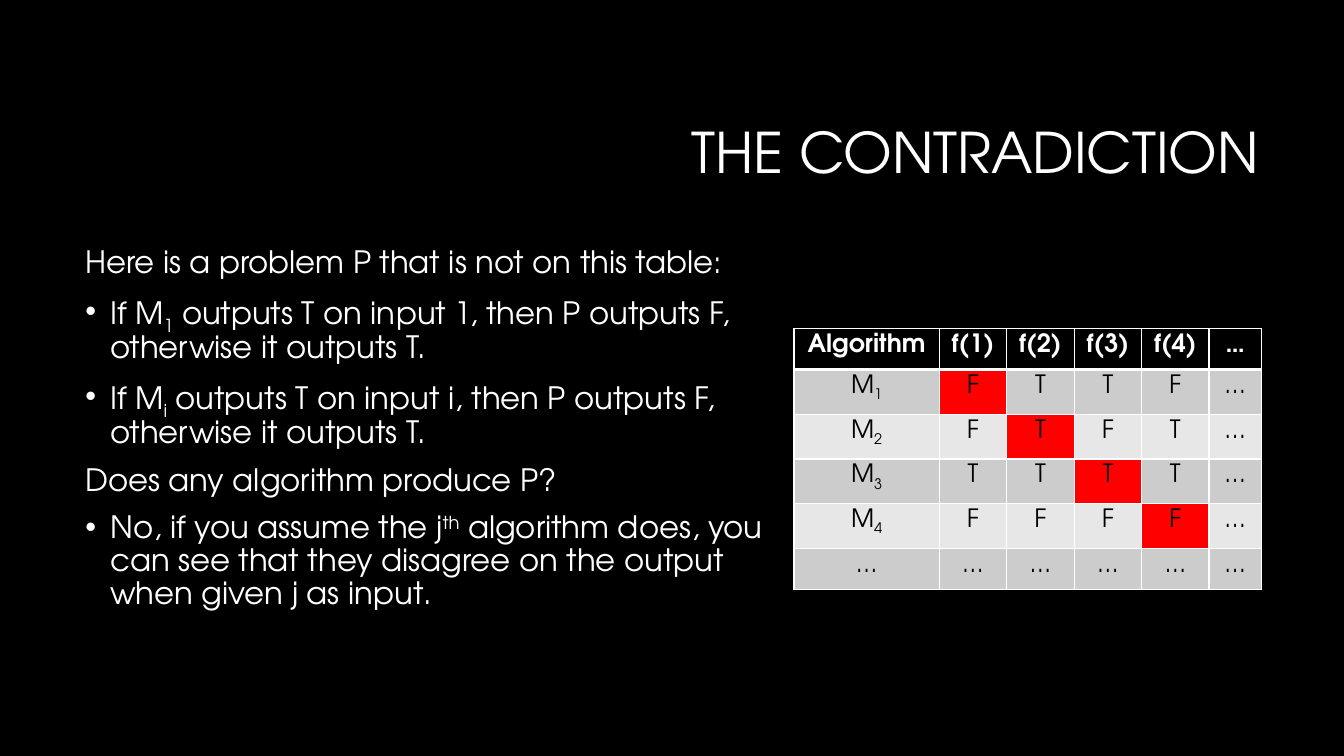
"""Build the slide "The Contradiction" with an argument and a diagonal table."""
import pptx
import pptx.dml.color
import pptx.enum.text
import pptx.oxml.ns
import pptx.util
import lxml.etree

Cm = pptx.util.Cm
Pt = pptx.util.Pt
RGBColor = pptx.dml.color.RGBColor
PP_ALIGN = pptx.enum.text.PP_ALIGN
qn = pptx.oxml.ns.qn

BLACK = RGBColor(0x00, 0x00, 0x00)
WHITE = RGBColor(0xFF, 0xFF, 0xFF)
RED = RGBColor(0xFF, 0x00, 0x00)
DARK_BAND = RGBColor(0xCC, 0xCC, 0xCC)
LIGHT_BAND = RGBColor(0xE7, 0xE7, 0xE7)
FONT = "TeX Gyre Adventor"
SUBSCRIPT, SUPERSCRIPT = -25000, 30000


def write(para, parts, size, color, bold=False):
    """Add (text, baseline) parts to a paragraph, breaking at newlines."""
    for text, baseline in parts:
        for number, line in enumerate(text.split("\n")):
            if number:
                para.add_line_break()
            span = para.add_run()
            span.text = line
            span.font.name = FONT
            span.font.size = Pt(size)
            span.font.bold = bold
            span.font.color.rgb = color
            if baseline:
                span.font._element.set("baseline", str(baseline))


def add_border(cell, side, width):
    """Draw one white side of a table cell."""
    properties = cell._tc.get_or_add_tcPr()
    line = lxml.etree.SubElement(properties, qn(f"a:ln{side}"), w=str(Pt(width)))
    fill = lxml.etree.SubElement(line, qn("a:solidFill"))
    lxml.etree.SubElement(fill, qn("a:srgbClr"), val=str(WHITE))


deck = pptx.Presentation()
deck.slide_width = Cm(33.87)
deck.slide_height = Cm(19.05)
page = deck.slides.add_slide(deck.slide_layouts[6])
page.background.fill.solid()
page.background.fill.fore_color.rgb = BLACK

title_box = page.shapes.add_textbox(Cm(8.05), Cm(2.13), Cm(23.93), Cm(3.58))
title_box.text_frame.word_wrap = True
title_box.text_frame.vertical_anchor = pptx.enum.text.MSO_ANCHOR.MIDDLE
title = title_box.text_frame.paragraphs[0]
title.alignment = PP_ALIGN.RIGHT
title.line_spacing = 0.9
write(title, [("THE CONTRADICTION", 0)], 40, WHITE)

argument = [
    (False, [("Here is a problem P that is not on this table:", 0)]),
    (True, [("If M", 0), ("1", SUBSCRIPT),
            (" outputs T on input 1, then P outputs F,\notherwise it outputs T.", 0)]),
    (True, [("If M", 0), ("i", SUBSCRIPT),
            (" outputs T on input i, then P outputs F,\notherwise it outputs T.", 0)]),
    (False, [("Does any algorithm produce P?", 0)]),
    (True, [("No, if you assume the j", 0), ("th", SUPERSCRIPT),
            (" algorithm does, you\ncan see that they disagree on the output\n"
             "when given j as input.", 0)]),
]
argument_box = page.shapes.add_textbox(Cm(1.9), Cm(6.1), Cm(30.05), Cm(11.18))
frame = argument_box.text_frame
frame.word_wrap = True
for number, (bulleted, parts) in enumerate(argument):
    para = frame.add_paragraph() if number else frame.paragraphs[0]
    para.line_spacing = 0.9
    para.space_before = Pt(10)
    if bulleted:
        properties = para._p.get_or_add_pPr()
        properties.set("marL", str(Cm(0.63)))
        properties.set("indent", str(-Cm(0.63)))
        lxml.etree.SubElement(properties, qn("a:buFont"), typeface="Arial")
        lxml.etree.SubElement(properties, qn("a:buChar"), char="•")
    write(para, parts, 22, WHITE)

header = ["Algorithm", "f(1)", "f(2)", "f(3)", "f(4)", "…"]
outputs = ["FTTF", "FTFT", "TTTT", "FFFF"]
rows = [header]
rows += [[f"M{number}", *values, "…"] for number, values in enumerate(outputs, 1)]
rows.append(["…"] * len(header))
widths = [3.66, 1.7, 1.7, 1.7, 1.7, 1.32]
row_height = 1.03

table = page.shapes.add_table(len(rows), len(widths), Cm(20.01), Cm(8.28),
                              Cm(sum(widths)), Cm(row_height * len(rows))).table
for column, width in zip(table.columns, widths):
    column.width = Cm(width)
for row_index, values in enumerate(rows):
    table.rows[row_index].height = Cm(row_height)
    is_header = row_index == 0
    for column_index, value in enumerate(values):
        cell = table.cell(row_index, column_index)
        cell.margin_left = cell.margin_right = Cm(0.15)
        cell.margin_top = cell.margin_bottom = Cm(0.13)
        for side in "LRTB":
            thick = (side == "B" and is_header) or (side == "T" and row_index == 1)
            add_border(cell, side, 3 if thick else 1)
        if is_header:
            color = BLACK
        elif row_index == column_index and value != "…":
            color = RED
        else:
            color = DARK_BAND if row_index % 2 else LIGHT_BAND
        cell.fill.solid()
        cell.fill.fore_color.rgb = color
        para = cell.text_frame.paragraphs[0]
        para.alignment = PP_ALIGN.CENTER
        parts = [(value, 0)]
        if value.startswith("M"):
            parts = [("M", 0), (value[1:], SUBSCRIPT)]
        write(para, parts, 18, WHITE if is_header else BLACK, is_header)

deck.save("out.pptx")
